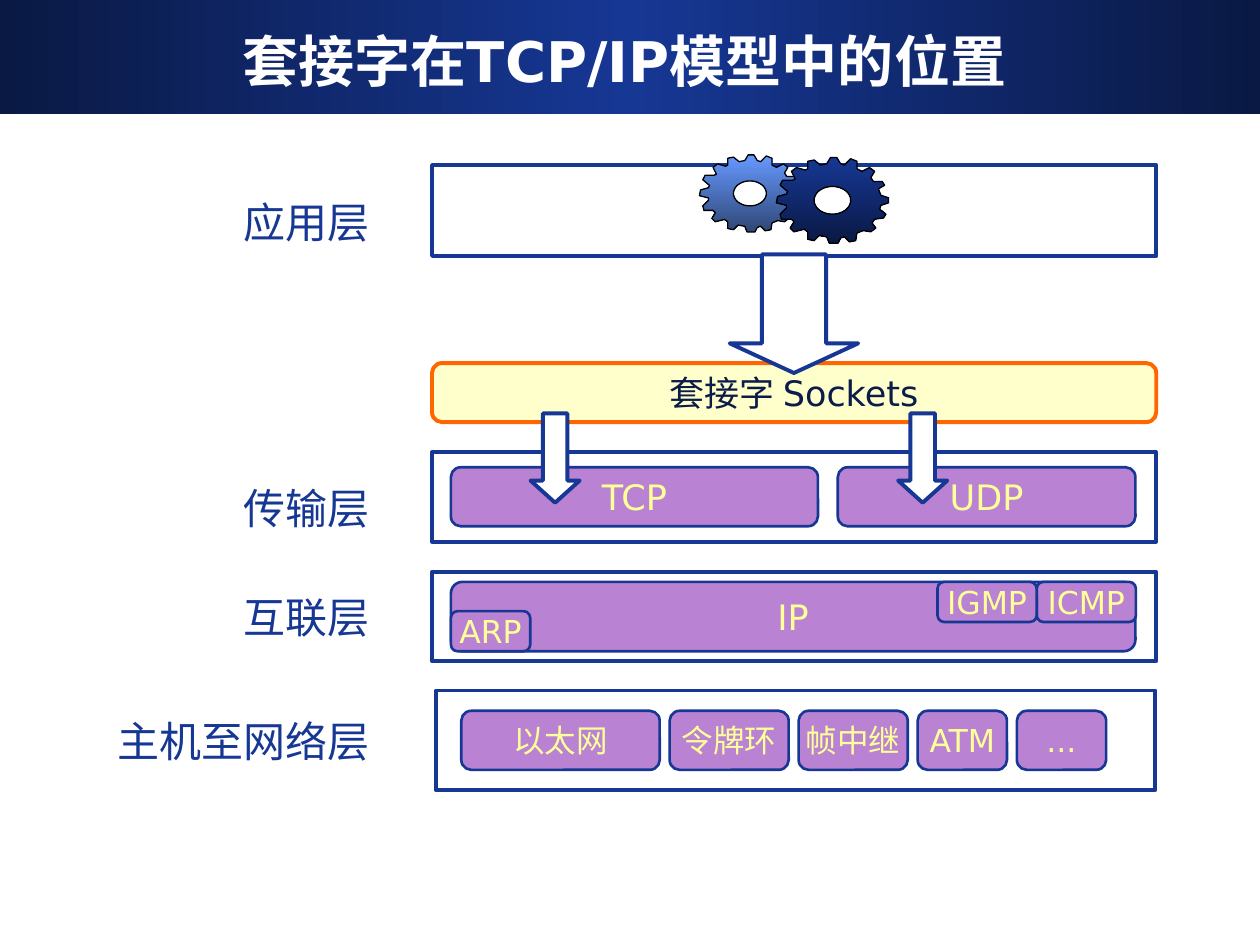
from copy import deepcopy
from dataclasses import dataclass
from math import cos, pi, sin

from pptx import Presentation
from pptx.dml.color import RGBColor
from pptx.enum.shapes import MSO_SHAPE
from pptx.enum.text import MSO_ANCHOR, MSO_AUTO_SIZE, PP_ALIGN
from pptx.oxml.ns import qn
from pptx.util import Cm, Pt

BLUE = RGBColor(0x16, 0x37, 0x94)
NAVY = RGBColor(0x0A, 0x19, 0x44)
INK = RGBColor(0x0B, 0x1B, 0x4A)
SKY = RGBColor(0x66, 0x99, 0xFF)
SLATE = RGBColor(0x2F, 0x47, 0x76)
PURPLE = RGBColor(0xB9, 0x82, 0xD2)
YELLOW = RGBColor(0xFF, 0xFF, 0x99)
CREAM = RGBColor(0xFF, 0xFF, 0xCC)
ORANGE = RGBColor(0xFF, 0x66, 0x00)
WHITE = RGBColor(0xFF, 0xFF, 0xFF)
BLACK = RGBColor(0, 0, 0)

FONT = "DejaVu Sans"
LABEL_RIGHT = 7.7
BOX_HEIGHT = 1.19

# Gear teeth, in hundredths of an inch
GEAR_TEETH = [
    (40, 6), (43, 1), (48, 1), (51, 6), (54, 7), (59, 2), (64, 4), (64, 10),
    (68, 12), (74, 9), (78, 12), (75, 17), (77, 20), (84, 20), (86, 23), (81, 26),
    (83, 31), (89, 33), (89, 37), (83, 39), (82, 42), (87, 46), (85, 49), (78, 50),
    (76, 53), (79, 57), (75, 60), (69, 59), (64, 61), (63, 67), (58, 68), (54, 64),
    (51, 65), (49, 69), (42, 69), (40, 64), (34, 63), (30, 67), (25, 66), (25, 60),
    (22, 58), (14, 60), (11, 57), (14, 52), (12, 50), (4, 50), (3, 46), (8, 41),
    (8, 39), (0, 37), (1, 32), (8, 30), (9, 28), (3, 23), (5, 19), (13, 19),
    (15, 18), (12, 12), (16, 9), (23, 11), (25, 10), (25, 4), (30, 3), (35, 7),
]
GEAR_HOLE = [
    (44.5 + 14.5 * cos(step * pi / 24), 35 - 11 * sin(step * pi / 24))
    for step in range(48)
]


@dataclass
class Box:
    text: str
    left: float
    top: float
    width: float
    height: float = BOX_HEIGHT
    size: int = 18
    color: RGBColor = YELLOW
    fill: RGBColor = PURPLE
    line: RGBColor = BLUE
    line_width: float = 1.5


@dataclass
class Layer:
    label: str
    label_top: float
    label_width: float
    left: float
    top: float
    width: float
    height: float


@dataclass
class Gear:
    left: float
    top: float
    scale: float
    colors: tuple


@dataclass
class Arrow:
    left: float
    top: float
    width: float
    height: float
    head: float


def write(shape, text: str, alignment, **font_values) -> None:
    paragraph = shape.text_frame.paragraphs[0]
    paragraph.text = text
    paragraph.alignment = alignment
    font = paragraph.runs[0].font
    font.color.rgb = font_values.pop("color")
    for name, value in {"name": FONT, **font_values}.items():
        setattr(font, name, value)


def paint(shape, fill: RGBColor, line: RGBColor, line_width: float) -> None:
    shape.shadow.inherit = False
    shape.fill.solid()
    shape.fill.fore_color.rgb = fill
    shape.line.color.rgb = line
    shape.line.width = Pt(line_width)


def paint_gradient(shape, colors: tuple, angle: int) -> None:
    shape.shadow.inherit = False
    shape.fill.gradient()
    shape.fill.gradient_angle = angle
    stop_list = next(shape._element.iter(qn("a:gsLst")))
    while len(stop_list) < len(colors):
        stop_list.append(deepcopy(stop_list[-1]))
    for index, (stop, color) in enumerate(zip(shape.fill.gradient_stops, colors)):
        stop.color.rgb = color
        stop.position = index / (len(colors) - 1)


def add_preset(slide, kind, left: float, top: float, width: float, height: float):
    return slide.shapes.add_shape(kind, Cm(left), Cm(top), Cm(width), Cm(height))


def draw_title(slide, text: str) -> None:
    band = add_preset(slide, MSO_SHAPE.RECTANGLE, 0, 0, 25.4, 2.31)
    paint_gradient(band, (NAVY, BLUE, NAVY), 0)
    band.line.fill.background()
    slide.shapes._spTree.insert(2, band._element)  # behind the title
    title = slide.shapes.title
    place = {"left": 0.84, "top": 0.43, "width": 23.5, "height": 1.57}
    for name, value in place.items():
        setattr(title, name, Cm(value))
    title.text_frame.auto_size = MSO_AUTO_SIZE.NONE
    title.text_frame.vertical_anchor = MSO_ANCHOR.MIDDLE
    write(title, text, PP_ALIGN.CENTER, size=Pt(32), bold=True, color=WHITE)


def draw_layer(slide, layer: Layer) -> None:
    label = slide.shapes.add_textbox(
        Cm(LABEL_RIGHT - layer.label_width), Cm(layer.label_top),
        Cm(layer.label_width), Cm(1.27))
    label.text_frame.word_wrap = False
    write(label, layer.label, PP_ALIGN.RIGHT, size=Pt(24), color=BLUE)
    frame = add_preset(slide, MSO_SHAPE.RECTANGLE, layer.left, layer.top,
                       layer.width, layer.height)
    paint(frame, WHITE, BLUE, 2.25)


def draw_box(slide, box: Box) -> None:
    shape = add_preset(slide, MSO_SHAPE.ROUNDED_RECTANGLE, box.left, box.top,
                       box.width, box.height)
    paint(shape, box.fill, box.line, box.line_width)
    shape.text_frame.word_wrap = False
    shape.text_frame.vertical_anchor = MSO_ANCHOR.MIDDLE
    write(shape, box.text, PP_ALIGN.CENTER, size=Pt(box.size), color=box.color)


def draw_gear(slide, gear: Gear) -> None:
    teeth, hole = ([(x * 10, y * 10) for x, y in outline]
                   for outline in (GEAR_TEETH, GEAR_HOLE))
    builder = slide.shapes.build_freeform(*teeth[0], scale=Cm(2.54) / 1000 * gear.scale)
    builder.add_line_segments(teeth[1:], close=True)
    builder.move_to(*hole[0])
    builder.add_line_segments(hole[1:], close=True)
    shape = builder.convert_to_shape(Cm(gear.left), Cm(gear.top))
    paint_gradient(shape, gear.colors, 270)
    shape.line.color.rgb = BLACK
    shape.line.width = Pt(0.75)


def draw_arrow(slide, arrow: Arrow) -> None:
    shape = add_preset(slide, MSO_SHAPE.RIGHT_ARROW, arrow.left, arrow.top,
                       arrow.width, arrow.height)
    shape.rotation = 90
    shape.adjustments[1] = arrow.head
    paint(shape, WHITE, BLUE, 2.25)


LAYERS = [
    Layer("应用层", 3.84, 3.05, 8.71, 3.33, 14.6, 1.83),
    Layer("传输层", 9.6, 3.05, 8.71, 9.12, 14.6, 1.8),
    Layer("互联层", 11.79, 3.05, 8.71, 11.53, 14.6, 1.8),
    Layer("主机至网络层", 14.3, 5.59, 8.79, 13.92, 14.5, 2.01),
]
BOXES = [
    Box("IP", 9.09, 11.73, 13.8, 1.4, size=20),
    Box("ARP", 9.09, 12.32, 1.6, 0.81),
    Box("ICMP", 20.9, 11.73, 2, 0.81),
    Box("IGMP", 18.9, 11.73, 2, 0.81),
    Box("TCP", 9.09, 9.42, 7.4, size=20),
    Box("UDP", 16.89, 9.42, 6, size=20),
    Box("套接字 Sockets", 8.71, 7.32, 14.6, size=20, color=INK,
        fill=CREAM, line=ORANGE, line_width=2.25),
]
NETWORKS = [("以太网", 4), ("令牌环", 2.4), ("帧中继", 2.2), ("ATM", 1.8), ("...", 1.8)]
GEARS = [Gear(14.1, 3.1, 0.9, (SKY, SLATE)), Gear(15.65, 3.15, 1, (BLUE, NAVY))]
ARROWS = [
    Arrow(10.29, 8.74, 1.8, 0.99, 0.45),
    Arrow(17.7, 8.74, 1.8, 0.99, 0.45),
    Arrow(14.81, 5.03, 2.39, 2.59, 0.25),
]


def main() -> None:
    presentation = Presentation()
    presentation.slide_width, presentation.slide_height = Cm(25.4), Cm(19.05)
    slide = presentation.slides.add_slide(presentation.slide_layouts[5])
    draw_title(slide, "套接字在TCP/IP模型中的位置")

    # Layers and the protocols inside them
    for layer in LAYERS:
        draw_layer(slide, layer)
    left = 9.3
    for name, width in NETWORKS:
        draw_box(slide, Box(name, left, 14.33, width))
        left += width + 0.2
    for box in BOXES:
        draw_box(slide, box)

    # Applications and the data flow
    for gear in GEARS:
        draw_gear(slide, gear)
    for arrow in ARROWS:
        draw_arrow(slide, arrow)
    presentation.save("out.pptx")


if __name__ == "__main__":
    main()
